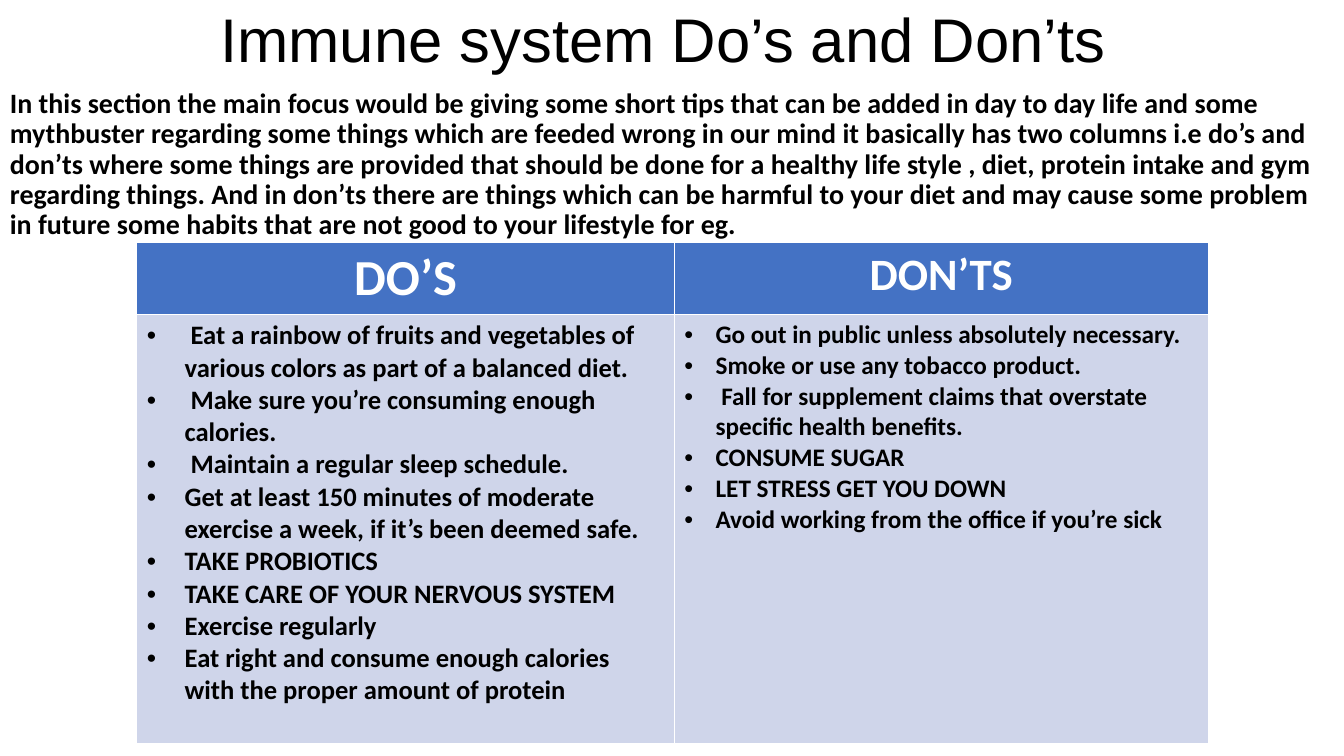
import pptx
import pptx.dml.color
import pptx.enum.text
import pptx.oxml
import pptx.oxml.ns
import pptx.util

Cm, Pt = pptx.util.Cm, pptx.util.Pt
ALIGN = pptx.enum.text.PP_ALIGN
ANCHOR = pptx.enum.text.MSO_ANCHOR
FIT = pptx.enum.text.MSO_AUTO_SIZE

TITLE = "Immune system Do’s and Don’ts "
INTRO = (
    "In this section the main focus would be giving some short tips that can be "
    "added in day to day life and some mythbuster regarding some things which are "
    "feeded wrong in our mind it basically has two columns i.e do’s and don’ts "
    "where some things are provided that should be done for a healthy life style , "
    "diet, protein intake and gym regarding things. And in don’ts there are things "
    "which can be harmful to your diet and may cause some problem in future some "
    "habits that are not good to your lifestyle for eg."
)
COLUMNS = [
    {
        "head": "DO’S", "head_size": 36, "size": 19, "indent": 0.95, "width": 13.54,
        "tips": [
            " Eat a rainbow of fruits and vegetables of various colors as part of a balanced diet.",
            " Make sure you’re consuming enough calories.",
            " Maintain a regular sleep schedule.",
            "Get at least 150 minutes of moderate exercise a week, if it’s been deemed safe.",
            "TAKE PROBIOTICS",
            "TAKE CARE OF YOUR NERVOUS SYSTEM",
            "Exercise regularly",
            "Eat right and consume enough calories with the proper amount of protein",
        ],
    },
    {
        "head": "DON’TS", "head_size": 32, "size": 18, "indent": 0.79, "width": 13.46,
        "tips": [
            "Go out in public unless absolutely necessary.",
            "Smoke or use any tobacco product.",
            " Fall for supplement claims that overstate specific health benefits.",
            "CONSUME SUGAR",
            "LET STRESS GET YOU DOWN",
            "Avoid working from the office if you’re sick",
        ],
    },
]
COLORS = {"text": "000000", "light": "FFFFFF", "head": "4472C4", "body": "CFD5EA"}
ROWS = (1.76, 10.82)
WIDE, HIGH = 33.87, 19.05
TOP = 2.13


def color(name):
    return pptx.dml.color.RGBColor.from_string(COLORS[name])


def apply(item, style):
    for name, value in style.items():
        setattr(item, name, value)


def write(frame, lines, size, ink="text", face="Calibri", bold=True, **style):
    """Put one paragraph per line into the frame, all in one format."""
    for i, line in enumerate(lines):
        para = frame.paragraphs[0] if i == 0 else frame.add_paragraph()
        apply(para, style)
        run = para.add_run()
        run.text = line
        apply(run.font, {"name": face, "size": Pt(size), "bold": bold})
        run.font.color.rgb = color(ink)


def bullet(para, indent):
    props = para._p.get_or_add_pPr()
    props.set("marL", str(Cm(indent)))
    props.set("indent", str(-Cm(indent)))
    for tag, key, value in (("buFont", "typeface", "Arial"), ("buChar", "char", "•")):
        mark = pptx.oxml.parse_xml(
            f'<a:{tag} {pptx.oxml.ns.nsdecls("a")} {key}="{value}"/>')
        props.append(mark)


def fill(cell, name):
    cell.fill.solid()
    cell.fill.fore_color.rgb = color(name)


def main():
    deck = pptx.Presentation()
    apply(deck, {"slide_width": Cm(WIDE), "slide_height": Cm(HIGH)})
    slide = deck.slides.add_slide(deck.slide_layouts.get_by_name("Title Only"))

    title = slide.shapes.title
    apply(title, {"left": Cm(2.33), "top": Cm(0), "width": Cm(29.21), "height": Cm(TOP)})
    apply(title.text_frame, {"auto_size": FIT.NONE, "vertical_anchor": ANCHOR.MIDDLE})
    write(title.text_frame, [TITLE], 44, face="Arial", bold=False,
          alignment=ALIGN.CENTER, line_spacing=0.9)

    intro = slide.shapes.add_textbox(Cm(0), Cm(TOP), Cm(WIDE), Cm(HIGH - TOP))
    apply(intro.text_frame, {"word_wrap": True, "auto_size": FIT.NONE})
    write(intro.text_frame, [INTRO], 20, line_spacing=0.9)

    total = sum(col["width"] for col in COLUMNS)
    table = slide.shapes.add_table(
        len(ROWS), len(COLUMNS), Cm(3.45), Cm(6.12), Cm(total), Cm(sum(ROWS))).table
    for row, height in zip(table.rows, ROWS):
        row.height = Cm(height)
    for i, col in enumerate(COLUMNS):
        table.columns[i].width = Cm(col["width"])
        head, body = table.cell(0, i), table.cell(1, i)
        fill(head, "head")
        fill(body, "body")
        write(head.text_frame, [col["head"]], col["head_size"], "light",
              alignment=ALIGN.CENTER)
        write(body.text_frame, col["tips"], col["size"])
        for para in body.text_frame.paragraphs:
            bullet(para, col["indent"])

    deck.save("out.pptx")


if __name__ == "__main__":
    main()
